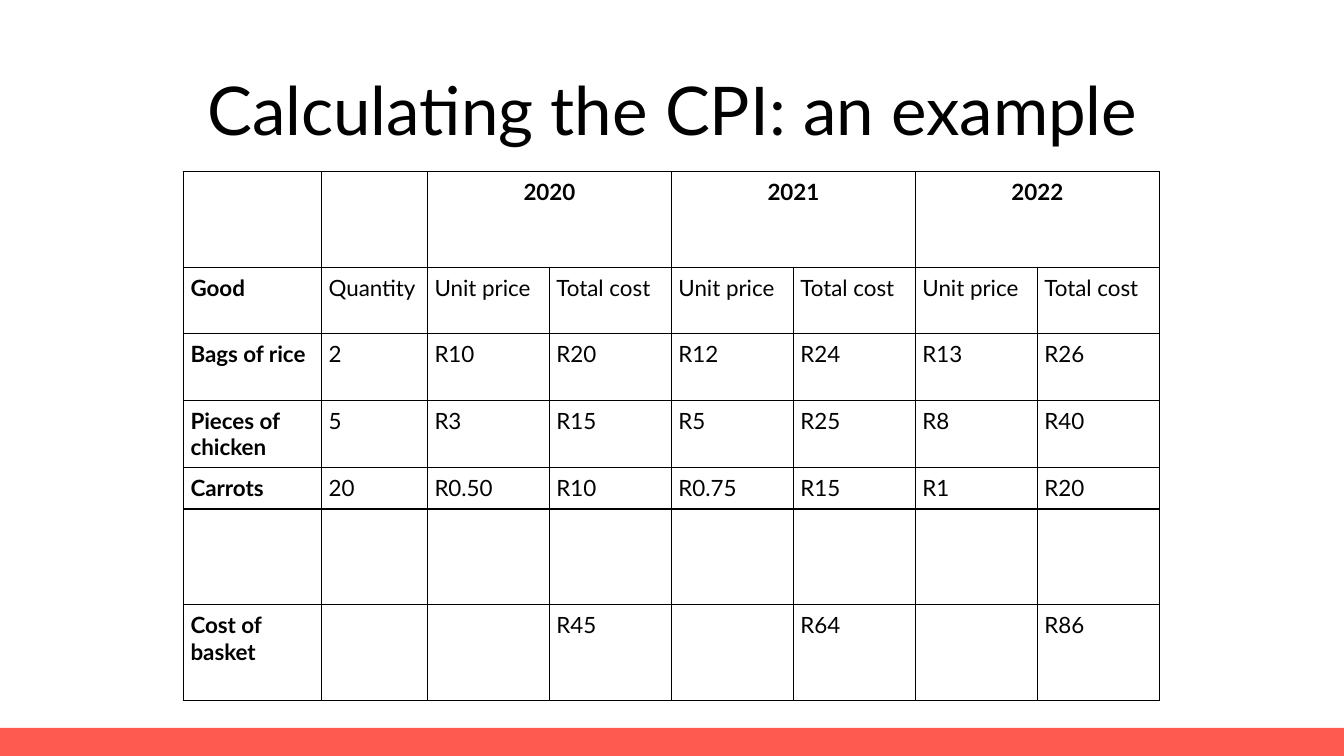
from lxml import etree
from pptx import Presentation
from pptx.dml.color import RGBColor
from pptx.enum import shapes, text
from pptx.oxml import ns
from pptx.util import Inches, Pt

BLACK = RGBColor(0, 0, 0)
WHITE = RGBColor(255, 255, 255)
CORAL = RGBColor(0xFF, 0x5A, 0x50)
FONT = "Lato"


def write(para, words, size, bold=False):
    run = para.add_run()
    run.text = words
    run.font.name = FONT
    run.font.size = Pt(size)
    run.font.bold = bold
    run.font.color.rgb = BLACK


def border(cell):
    props = cell._tc.get_or_add_tcPr()
    for side in ("a:lnL", "a:lnR", "a:lnT", "a:lnB"):
        line = etree.SubElement(props, ns.qn(side), w=str(Pt(1)))
        fill = etree.SubElement(line, ns.qn("a:solidFill"))
        etree.SubElement(fill, ns.qn("a:srgbClr"), val=str(BLACK))


deck = Presentation()
deck.slide_width = Inches(13.33)
deck.slide_height = Inches(7.5)
slide = deck.slides.add_slide(deck.slide_layouts[5])

band = slide.shapes.add_shape(
    shapes.MSO_SHAPE.RECTANGLE, 0, Inches(7.22), Inches(13.33), Inches(0.28))
band.shadow.inherit = False
band.fill.solid()
band.fill.fore_color.rgb = CORAL
band.line.fill.background()

title = slide.shapes.title
title.left, title.top = Inches(0.92), Inches(0.4)
title.width, title.height = Inches(11.5), Inches(1.45)
title.text_frame.word_wrap = True
title.text_frame.vertical_anchor = text.MSO_ANCHOR.MIDDLE
para = title.text_frame.paragraphs[0]
para.alignment = text.PP_ALIGN.CENTER
para.line_spacing = 0.9
write(para, "Calculating the CPI: an example", 48)

rows = [
    ["", "", "2020", "", "2021", "", "2022", ""],
    ["Good", "Quantity"] + ["Unit price", "Total cost"] * 3,
    ["Bags of rice", "2", "R10", "R20", "R12", "R24", "R13", "R26"],
    ["Pieces of chicken", "5", "R3", "R15", "R5", "R25", "R8", "R40"],
    ["Carrots", "20", "R0.50", "R10", "R0.75", "R15", "R1", "R20"],
    [""] * 8,
    ["Cost of basket", "", "", "R45", "", "R64", "", "R86"],
]
widths = [1.37, 1.05] + [1.21] * 6
heights = [0.95, 0.66, 0.66, 0.67, 0.41, 0.95, 0.95]

frame = slide.shapes.add_table(
    len(rows), len(widths), Inches(1.82), Inches(1.7), Inches(9.7), Inches(5.23))
table = frame.table
table.first_row = False
table.horz_banding = False
for col, width in zip(table.columns, widths):
    col.width = Inches(width)
for row, height in zip(table.rows, heights):
    row.height = Inches(height)
for c in (2, 4, 6):
    table.cell(0, c).merge(table.cell(0, c + 1))

for r, row in enumerate(rows):
    for c, words in enumerate(row):
        cell = table.cell(r, c)
        border(cell)
        cell.fill.solid()
        cell.fill.fore_color.rgb = WHITE
        cell.margin_left = cell.margin_right = Inches(0.07)
        cell.margin_top = cell.margin_bottom = Inches(0.07)
        if words:
            para = cell.text_frame.paragraphs[0]
            if r == 0:
                para.alignment = text.PP_ALIGN.CENTER
            write(para, words, 16, r == 0 or c == 0)

deck.save("out.pptx")
